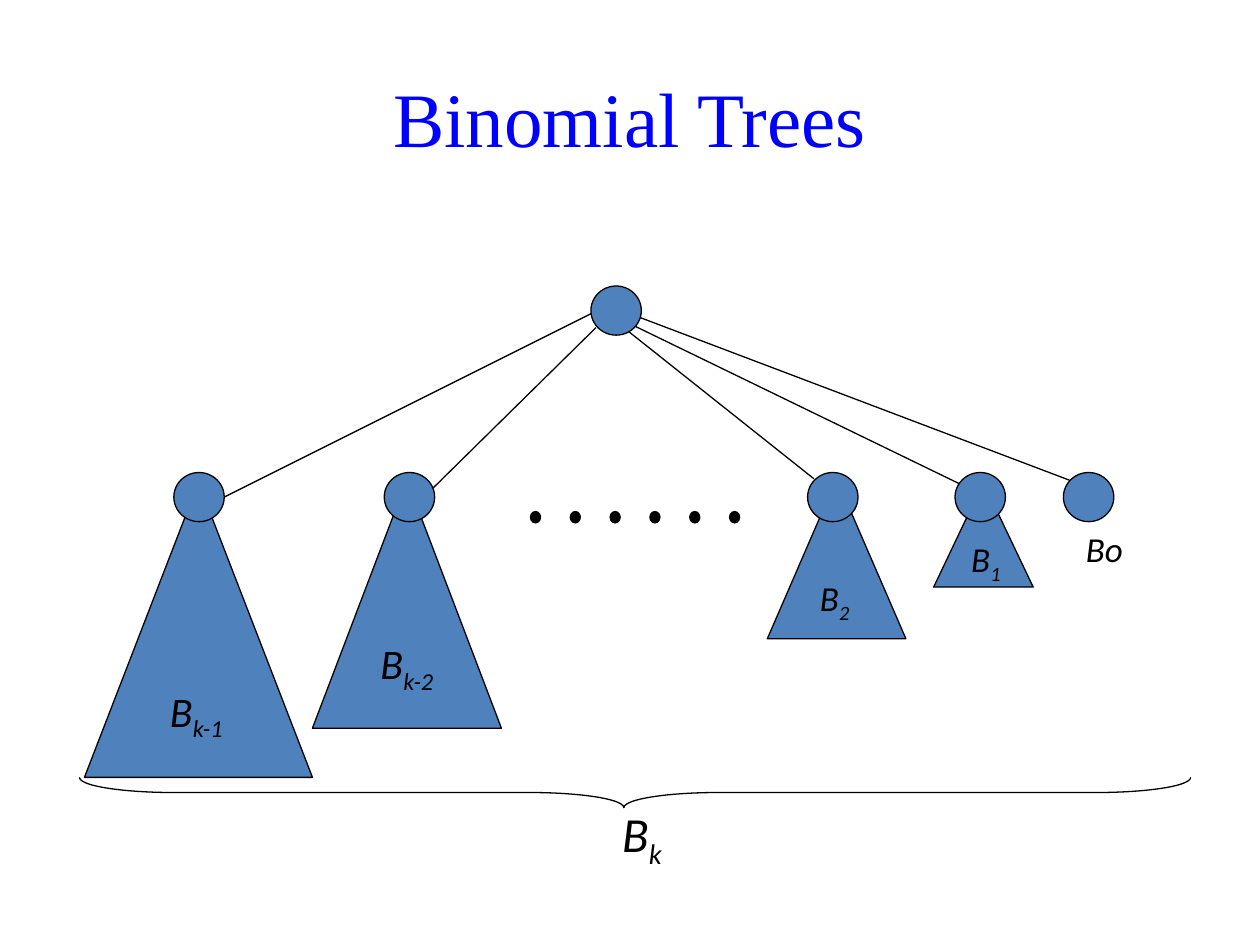
"""Build a slide showing a binomial tree made of smaller binomial trees."""
from dataclasses import dataclass
from typing import Any

import lxml.etree
import pptx
import pptx.dml.color
import pptx.enum.shapes
import pptx.enum.text
import pptx.oxml.ns
import pptx.util

Inches = pptx.util.Inches
Shape = pptx.enum.shapes.MSO_SHAPE
Align = pptx.enum.text.PP_ALIGN
Anchor = pptx.enum.text.MSO_ANCHOR
AutoSize = pptx.enum.text.MSO_AUTO_SIZE

BLACK = pptx.dml.color.RGBColor(0x00, 0x00, 0x00)
BLUE = pptx.dml.color.RGBColor(0x00, 0x00, 0xFF)
STEEL = pptx.dml.color.RGBColor(0x4F, 0x81, 0xBD)
LINE_WIDTH = pptx.util.Pt(0.75)
NODE_WIDTH, NODE_HEIGHT = 0.4, 0.39
CHILD_TOP = 3.75
LABEL_FORMAT = {"name": "Calibri", "italic": True}
TITLE_FORMAT = {"name": "Times New Roman", "size": pptx.util.Pt(44)}


@dataclass(frozen=True)
class Frame:
    left: float
    top: float
    width: float
    height: float

    def lengths(self) -> list[int]:
        return [Inches(v) for v in (self.left, self.top, self.width, self.height)]


@dataclass(frozen=True)
class Edge:
    start: tuple[float, float]
    end: tuple[float, float]


@dataclass(frozen=True)
class Label:
    frame: Frame
    base: str
    subscript: str
    size: int
    wrap: bool = False


EDGES = [
    Edge((1.77, 3.95), (4.69, 2.49)),
    Edge((3.4, 3.91), (4.73, 2.6)),
    Edge((6.46, 3.8), (4.95, 2.6)),
    Edge((5, 2.57), (7.76, 3.91)),
    Edge((5, 2.49), (8.67, 3.88)),
]
SUBTREES = [
    Frame(6.09, 3.8, 1.1, 1.27),
    Frame(7.41, 3.83, 0.79, 0.83),
    Frame(0.67, 3.83, 1.81, 2.34),
]
LABELED_SUBTREE = Label(Frame(2.48, 3.81, 1.5, 1.97), "B", "k-2", 24)
LABELS = [
    Label(Frame(1.25, 5.39, 0.69, 0.51), "B", "k-1", 24),
    Label(Frame(6.41, 4.53, 0.47, 0.44), "B", "2", 20),
    Label(Frame(7.61, 4.22, 0.47, 0.44), "B", "1", 20),
    Label(Frame(8.52, 4.14, 0.51, 0.44), "Bo", "", 20),
    Label(Frame(4.84, 6.33, 0.87, 0.57), "B", "k", 28, wrap=True),
]
NODES = [(left, CHILD_TOP) for left in (1.38, 3.05, 6.41, 7.58, 8.44)] + [(4.69, 2.27)]
DOTS = [Frame(4.21 + 0.316 * step, 4.06, 0.08, 0.09) for step in range(6)]


def add_span(para: Any, text: str, values: dict[str, Any], color: Any) -> Any:
    span = para.add_run()
    span.text = text
    for name, value in values.items():
        setattr(span.font, name, value)
    span.font.color.rgb = color
    return span


def write_label(box: Any, label: Label) -> None:
    box.text_frame.word_wrap = label.wrap
    para = box.text_frame.paragraphs[0]
    values = {**LABEL_FORMAT, "size": pptx.util.Pt(label.size)}
    add_span(para, label.base, values, BLACK)
    if label.subscript:
        span = add_span(para, label.subscript, values, BLACK)
        span.font._element.set("baseline", "-25000")


def add_figure(page: Any, kind: Any, frame: Frame, fill: Any = None) -> Any:
    figure = page.shapes.add_shape(kind, *frame.lengths())
    figure.shadow.inherit = False
    if fill is None:
        figure.fill.background()
    else:
        figure.fill.solid()
        figure.fill.fore_color.rgb = fill
    figure.line.color.rgb = BLACK
    figure.line.width = LINE_WIDTH
    return figure


def add_edge(page: Any, edge: Edge) -> None:
    ends = [Inches(value) for value in edge.start + edge.end]
    line = page.shapes.add_connector(pptx.enum.shapes.MSO_CONNECTOR.STRAIGHT, *ends)
    line.line.color.rgb = BLACK
    line.line.width = LINE_WIDTH
    lxml.etree.SubElement(line._element.spPr, pptx.oxml.ns.qn("a:effectLst"))


def add_label(page: Any, label: Label) -> None:
    box = page.shapes.add_textbox(*label.frame.lengths())
    write_label(box, label)
    box.text_frame.auto_size = AutoSize.SHAPE_TO_FIT_TEXT


def add_title(page: Any, text: str) -> None:
    box = page.shapes.add_textbox(*Frame(0.5, 0.3, 9, 1.25).lengths())
    box.text_frame.word_wrap = True
    box.text_frame.vertical_anchor = Anchor.MIDDLE
    para = box.text_frame.paragraphs[0]
    para.alignment = Align.CENTER
    add_span(para, text, TITLE_FORMAT, BLUE)


def add_brace(page: Any) -> None:
    brace = add_figure(page, Shape.LEFT_BRACE, Frame(4.92, 1.88, 0.24, 8.82))
    brace.rotation = 270
    brace.adjustments[0] = 3.11
    brace.adjustments[1] = 0.49


def main() -> None:
    deck = pptx.Presentation()
    deck.slide_width, deck.slide_height = Inches(10), Inches(7.5)
    page = deck.slides.add_slide(deck.slide_layouts[6])
    add_title(page, "Binomial Trees")
    for frame in SUBTREES:
        add_figure(page, Shape.ISOSCELES_TRIANGLE, frame, STEEL)
    subtree = add_figure(page, Shape.ISOSCELES_TRIANGLE, LABELED_SUBTREE.frame, STEEL)
    write_label(subtree, LABELED_SUBTREE)
    subtree.text_frame.vertical_anchor = Anchor.MIDDLE
    subtree.text_frame.paragraphs[0].alignment = Align.CENTER
    for frame in DOTS:
        add_figure(page, Shape.OVAL, frame, BLACK)
    for edge in EDGES:
        add_edge(page, edge)
    add_brace(page)
    for label in LABELS:
        add_label(page, label)
    for left, top in NODES:
        add_figure(page, Shape.OVAL, Frame(left, top, NODE_WIDTH, NODE_HEIGHT), STEEL)
    deck.save("out.pptx")


if __name__ == "__main__":
    main()
